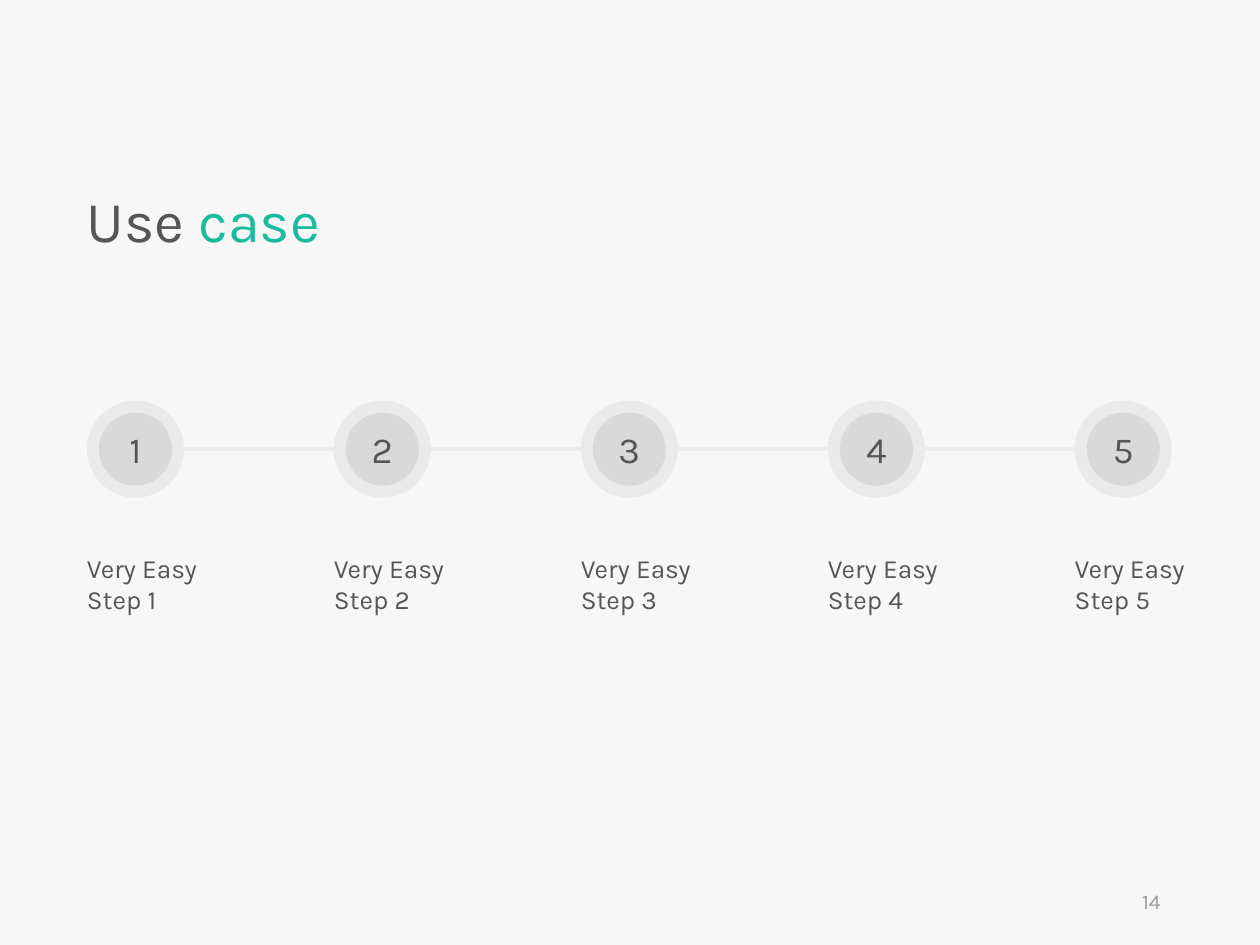
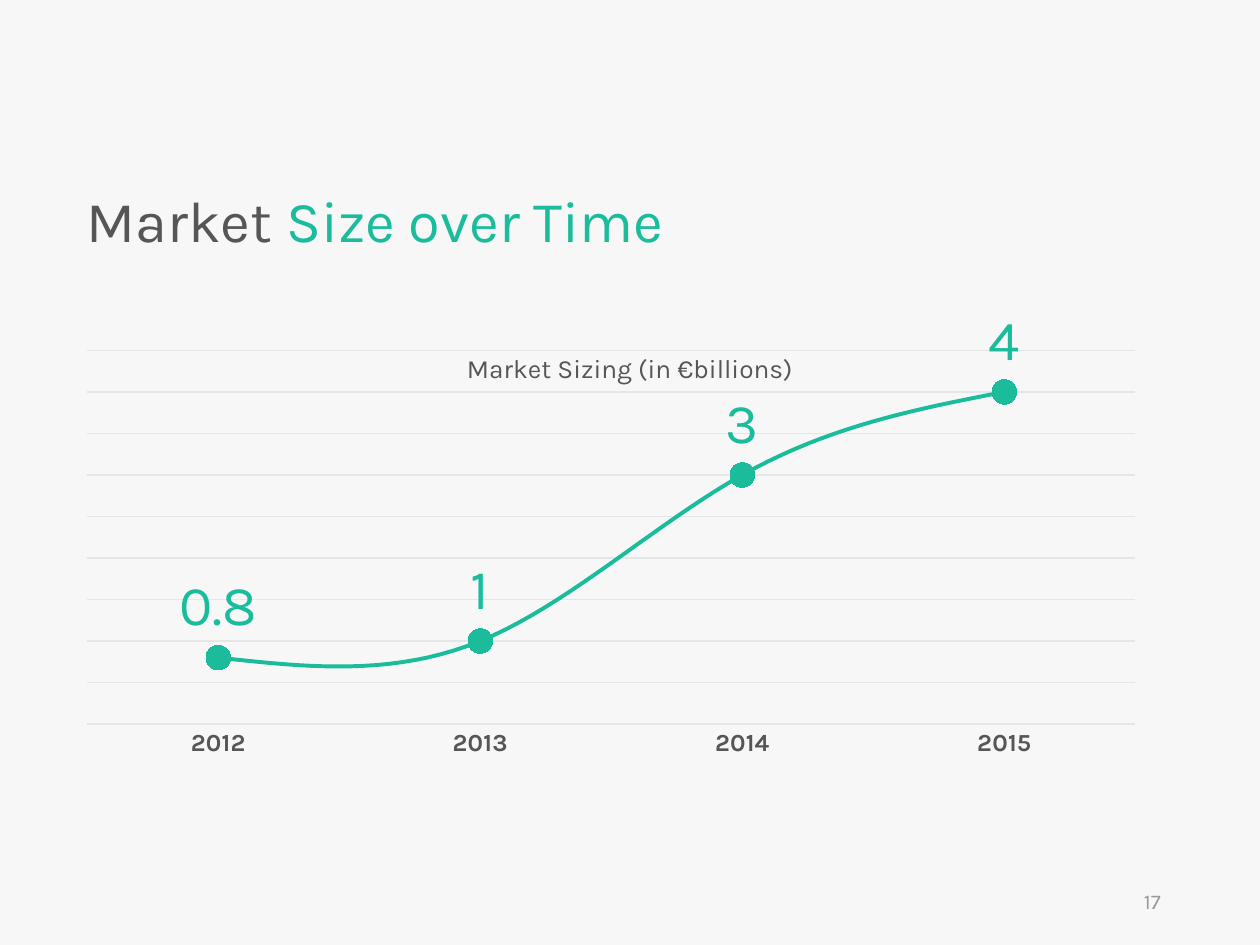
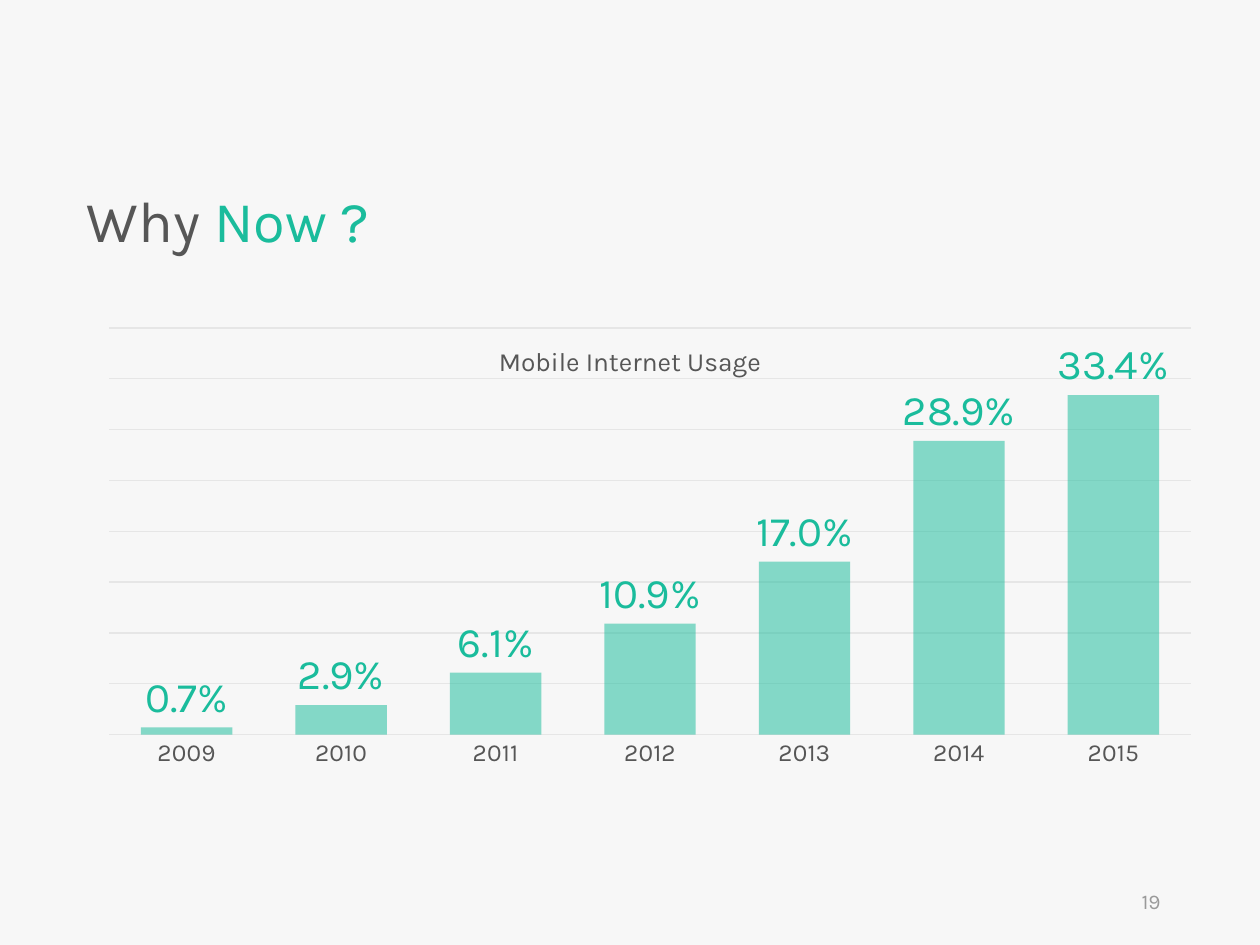
"""Build three pitch slides: use case steps, market size and mobile usage."""
from dataclasses import dataclass

from lxml import etree
from pptx import Presentation
from pptx.chart.data import CategoryChartData
from pptx.dml.color import RGBColor
from pptx.enum.chart import XL_CHART_TYPE, XL_LABEL_POSITION, XL_MARKER_STYLE, XL_TICK_MARK
from pptx.enum.shapes import MSO_CONNECTOR, MSO_SHAPE
from pptx.enum.text import MSO_ANCHOR, MSO_AUTO_SIZE, PP_ALIGN
from pptx.oxml.ns import qn
from pptx.util import Inches, Pt

LEFT, CENTER, RIGHT = PP_ALIGN.LEFT, PP_ALIGN.CENTER, PP_ALIGN.RIGHT
TOP, MIDDLE = MSO_ANCHOR.TOP, MSO_ANCHOR.MIDDLE
LINE, COLUMN = XL_CHART_TYPE.LINE_MARKERS, XL_CHART_TYPE.COLUMN_CLUSTERED
ABOVE, OUTSIDE_END = XL_LABEL_POSITION.ABOVE, XL_LABEL_POSITION.OUTSIDE_END
NO_TICK, ROUND_MARKER = XL_TICK_MARK.NONE, XL_MARKER_STYLE.CIRCLE
OVAL, STRAIGHT = MSO_SHAPE.OVAL, MSO_CONNECTOR.STRAIGHT
FIT_SHAPE = MSO_AUTO_SIZE.SHAPE_TO_FIT_TEXT


@dataclass(frozen=True)
class Theme:
    font: str = "Karla"
    background: RGBColor = RGBColor.from_string("F7F7F7")
    text: RGBColor = RGBColor.from_string("565656")
    accent: RGBColor = RGBColor.from_string("1ABC9C")
    disc: RGBColor = RGBColor.from_string("D9D9D9")
    track: RGBColor = RGBColor.from_string("EDECEC")
    grid: RGBColor = RGBColor.from_string("E6E6E6")
    footer: RGBColor = RGBColor.from_string("9A9A9A")
    title_size: Pt = Pt(33)
    step_size: Pt = Pt(21)
    body_size: Pt = Pt(15)
    axis_size: Pt = Pt(14)
    footer_size: Pt = Pt(12)
    chart_size: Pt = Pt(10)


theme = Theme()


def write_text(shape, runs, size, alignment=LEFT, anchor=TOP, inset=0.1):
    frame = shape.text_frame
    frame.word_wrap = True
    frame.vertical_anchor = anchor
    frame.margin_left = Inches(inset)
    paragraph = frame.paragraphs[0]
    paragraph.alignment = alignment
    for text, color in runs:
        run = paragraph.add_run()
        run.text = text
        run.font.name = theme.font
        run.font.size = size
        run.font.color.rgb = color
    return frame


def set_opacity(properties, percent):
    color = properties.find(qn("a:solidFill")).find(qn("a:srgbClr"))
    etree.SubElement(color, qn("a:alpha")).set("val", str(percent * 1000))


presentation = Presentation()
presentation.slide_width = Inches(10)
presentation.slide_height = Inches(7.5)
presentation.slide_master.background.fill.solid()
presentation.slide_master.background.fill.fore_color.rgb = theme.background

headings = [
    ("Use ", "case", 3.68, "14"),
    ("Market ", "Size over Time", 5.1, "17"),
    ("Why ", "Now ?", 3.68, "19"),
]
slides = []
for plain, accented, width, number in headings:
    slide = presentation.slides.add_slide(presentation.slide_layouts[6])
    slides.append(slide)
    title = slide.shapes.add_textbox(Inches(0.69), Inches(1.48), Inches(width), Inches(0.6))
    frame = write_text(title, [(plain, theme.text), (accented, theme.accent)],
                       theme.title_size, inset=0)
    frame.auto_size = FIT_SHAPE
    frame.paragraphs[0].line_spacing = 0.9
    frame.paragraphs[0].space_before = Pt(10)
    footer = slide.shapes.add_textbox(Inches(7.06), Inches(6.95), Inches(2.25), Inches(0.4))
    write_text(footer, [(number, theme.footer)], theme.footer_size, RIGHT, MIDDLE)

steps_slide, *chart_slides = slides
step_count, first_left, pitch = 5, 0.69, 1.96
ring_top, ring_size, disc_size = 3.18, 0.77, 0.58
margin = (ring_size - disc_size) / 2
track_y = Inches(ring_top + ring_size / 2)
for index in range(step_count):
    left = first_left + index * pitch
    for offset, size in ((margin, disc_size), (0, ring_size)):
        circle = steps_slide.shapes.add_shape(
            OVAL, Inches(left + offset), Inches(ring_top + offset), Inches(size), Inches(size))
        circle.shadow.inherit = False
        circle.fill.solid()
        circle.fill.fore_color.rgb = theme.disc
        circle.line.fill.background()
    set_opacity(circle.element.spPr, 42)
    write_text(circle, [(str(index + 1), theme.text)], theme.step_size, CENTER, MIDDLE)
    label = steps_slide.shapes.add_textbox(
        Inches(left), Inches(4.33), Inches(1.27), Inches(0.61))
    write_text(label, [(f"Very Easy Step {index + 1}", theme.text)],
               theme.body_size, inset=0).auto_size = FIT_SHAPE
    if index < step_count - 1:
        track = steps_slide.shapes.add_connector(
            STRAIGHT, Inches(left + ring_size), track_y, Inches(left + pitch), track_y)
        track.line.color.rgb = theme.track
        track.line.width = Pt(2.25)
        etree.SubElement(track.element.spPr, qn("a:effectLst"))

chart_specs = [
    dict(kind=LINE, box=(0.52, 2.34, 8.62, 3.94), plot_area=(0.02, 0.112, 0.965, 0.753),
         first_year=2012, values=(0.8, 1, 3, 4), maximum=4.5, unit=0.5,
         number_format="General", label_size=Pt(32), label_position=ABOVE, bold=True,
         caption="Market Sizing (in €billions)", caption_top=2.75),
    dict(kind=COLUMN, box=(0.69, 2.53, 8.93, 3.64), plot_area=(0.02, 0.02, 0.961, 0.887),
         first_year=2009, values=(0.007, 0.029, 0.061, 0.109, 0.17, 0.289, 0.334),
         maximum=0.4, unit=0.05, number_format="0.0%", label_size=Pt(24),
         label_position=OUTSIDE_END, bold=False,
         caption="Mobile Internet Usage", caption_top=2.69),
]
for slide, spec_values in zip(chart_slides, chart_specs):
    data = CategoryChartData(number_format=spec_values["number_format"])
    values = spec_values["values"]
    data.categories = [str(spec_values["first_year"] + index) for index in range(len(values))]
    data.add_series("Series 1", values)
    box = [Inches(length) for length in spec_values["box"]]
    chart = slide.shapes.add_chart(spec_values["kind"], *box, data).chart
    chart.has_title = False
    chart.has_legend = False
    chart.font.name = theme.font
    chart.font.size = theme.chart_size
    chart.font.color.rgb = theme.text

    category_axis = chart.category_axis
    category_axis.major_tick_mark = category_axis.minor_tick_mark = NO_TICK
    category_axis.format.line.color.rgb = theme.grid
    category_axis.format.line.width = Pt(0.75)
    category_font = category_axis.tick_labels.font
    category_font.name = theme.font
    category_font.size = theme.axis_size
    category_font.bold = spec_values["bold"]
    category_font.color.rgb = theme.text

    value_axis = chart.value_axis
    value_axis.visible = False
    value_axis.minimum_scale = 0
    value_axis.maximum_scale = spec_values["maximum"]
    value_axis.major_unit = spec_values["unit"]
    value_axis.has_major_gridlines = True
    value_axis.major_gridlines.format.line.color.rgb = theme.grid
    value_axis.major_gridlines.format.line.width = Pt(0.75)

    plot = chart.plots[0]
    plot.vary_by_categories = False
    plot.has_data_labels = True
    labels = plot.data_labels
    labels.show_value = True
    labels.position = spec_values["label_position"]
    labels.number_format = spec_values["number_format"]
    labels.number_format_is_linked = False
    labels.font.name = theme.font
    labels.font.size = spec_values["label_size"]
    labels.font.color.rgb = theme.accent

    series = plot.series[0]
    if spec_values["kind"] == LINE:
        series.smooth = True
        series.format.line.color.rgb = theme.accent
        series.format.line.width = Pt(2.25)
        series.marker.style = ROUND_MARKER
        series.marker.size = 14
        series.marker.format.fill.solid()
        series.marker.format.fill.fore_color.rgb = theme.accent
        series.marker.format.line.color.rgb = theme.accent
    else:
        plot.gap_width = 69
        plot.overlap = 7
        series.invert_if_negative = False
        series.format.fill.solid()
        series.format.fill.fore_color.rgb = theme.accent
        set_opacity(next(chart.element.iter(qn("c:ser"))).find(qn("c:spPr")), 52)

    plot_area = next(chart.element.iter(qn("c:plotArea")))
    for layout in plot_area.findall(qn("c:layout")):
        plot_area.remove(layout)
    layout = etree.Element(qn("c:layout"))
    plot_area.insert(0, layout)
    manual = etree.SubElement(layout, qn("c:manualLayout"))
    settings = [("layoutTarget", "inner"), ("xMode", "edge"), ("yMode", "edge")]
    settings += zip("xywh", spec_values["plot_area"])
    for name, value in settings:
        etree.SubElement(manual, qn(f"c:{name}")).set("val", str(value))

    caption = slide.shapes.add_textbox(
        Inches(3.21), Inches(spec_values["caption_top"]), Inches(3.58), Inches(0.35))
    write_text(caption, [(spec_values["caption"], theme.text)],
               theme.body_size, CENTER).auto_size = FIT_SHAPE

presentation.save("out.pptx")
